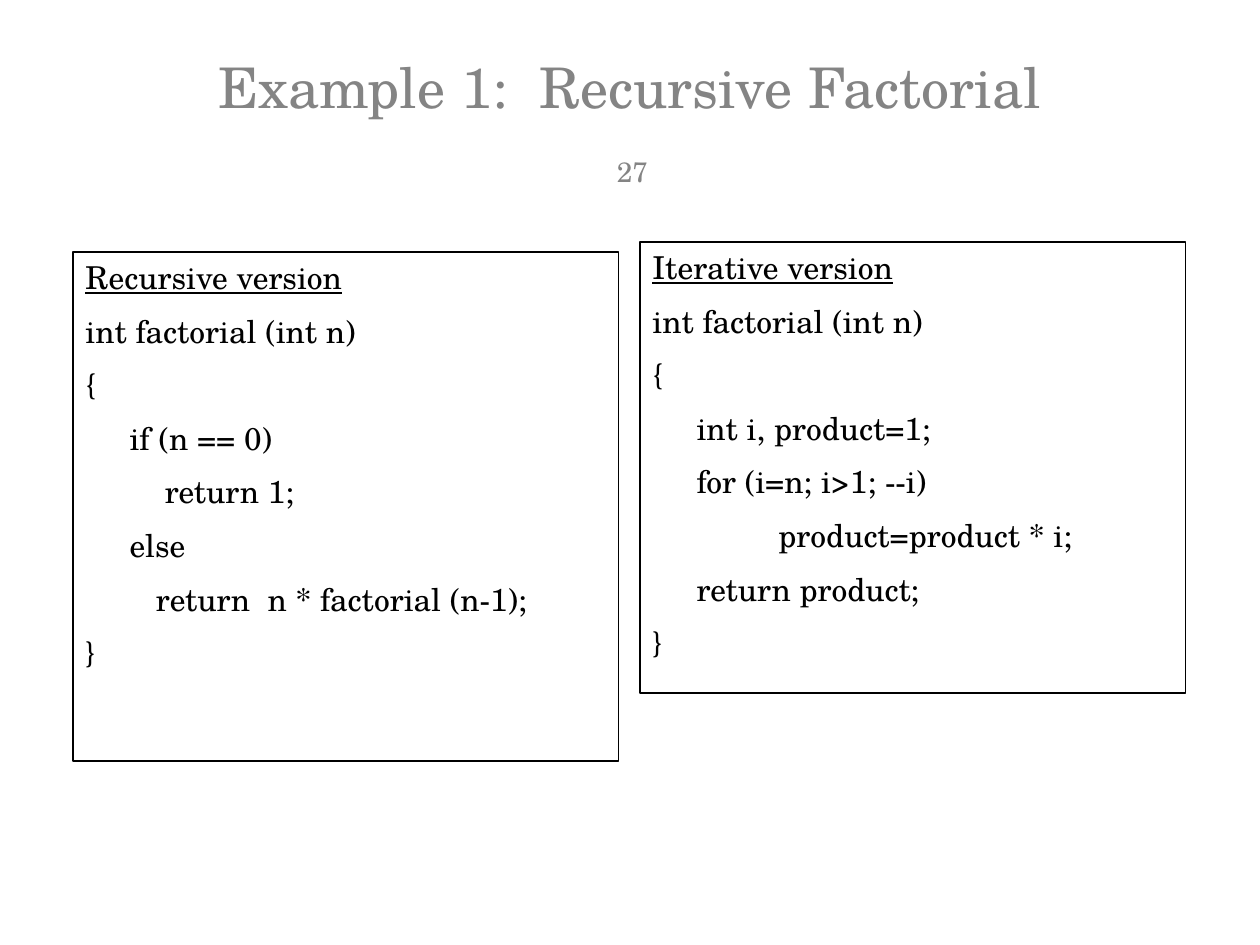
from lxml import etree
from pptx import Presentation
from pptx.dml.color import RGBColor
from pptx.enum.shapes import MSO_SHAPE
from pptx.enum.text import MSO_ANCHOR, PP_ALIGN
from pptx.util import Inches, Pt

RECT = MSO_SHAPE.RECTANGLE
TOP, MIDDLE, BOTTOM = MSO_ANCHOR.TOP, MSO_ANCHOR.MIDDLE, MSO_ANCHOR.BOTTOM
LEFT, CENTER = PP_ALIGN.LEFT, PP_ALIGN.CENTER

FONT = "TeX Gyre Schola"
COLORS = {"heading": "848484", "code": "000000"}
CODE_SIZE = 18

TITLE = "Example 1:  Recursive Factorial"
PAGE_NUMBER = "27"

# Each code line is (indent in inches, text).
PANELS = [
    {
        "box": (0.58, 2, 4.33, 4.04),
        "heading": "Recursive version",
        "code": [
            (0, "int factorial (int n)"),
            (0, "{"),
            (0.35, "if (n == 0)"),
            (0.63, "return 1;"),
            (0.35, "else"),
            (0.56, "return  n * factorial (n-1);"),
            (0, "}"),
        ],
    },
    {
        "box": (5.08, 1.92, 4.33, 3.58),
        "heading": "Iterative version",
        "code": [
            (0, "int factorial (int n)"),
            (0, "{"),
            (0.35, "int i, product=1;"),
            (0.35, "for (i=n; i>1; --i)"),
            (1, "product=product * i;"),
            (0.35, "return product;"),
            (0, "}"),
        ],
    },
]


def add_run(p, text, size, color, underline=None):
    r = p.add_run()
    r.text = text
    r.font.name = FONT
    r.font.size = Pt(size)
    r.font.underline = underline
    r.font.color.rgb = RGBColor.from_string(COLORS[color])


def set_indent(p, inches):
    pPr = p._p.get_or_add_pPr()
    pPr.set("marL", str(Inches(inches)))
    pPr.set("indent", "0")


def add_title(s):
    title = s.shapes.title
    title.left, title.top = Inches(0.5), Inches(0.3)
    title.width, title.height = Inches(9), Inches(0.7)
    tf = title.text_frame
    tf.vertical_anchor = BOTTOM
    p = tf.paragraphs[0]
    p.alignment = CENTER
    add_run(p, TITLE, 32, "heading")


def add_page_number(s):
    sp = s.shapes.add_textbox(*map(Inches, (4.77, 1.12, 0.5, 0.48)))
    tf = sp.text_frame
    tf.word_wrap = True
    tf.vertical_anchor = MIDDLE
    tf.margin_left = tf.margin_right = Inches(0.05)
    p = tf.paragraphs[0]
    p.alignment = CENTER
    add_run(p, PAGE_NUMBER, 16, "heading")


def add_panel(s, panel):
    sp = s.shapes.add_shape(RECT, *map(Inches, panel["box"]))
    sp.shadow.inherit = False
    sp.fill.background()
    sp.line.color.rgb = RGBColor.from_string(COLORS["code"])
    sp.line.width = Pt(0.75)
    tf = sp.text_frame
    tf.word_wrap = True
    tf.vertical_anchor = TOP
    lines = [(0, panel["heading"])] + panel["code"]
    for i, (indent, text) in enumerate(lines):
        p = tf.paragraphs[0] if i == 0 else tf.add_paragraph()
        p.alignment = LEFT
        p.space_before = Pt(CODE_SIZE / 2)
        set_indent(p, indent)
        add_run(p, text, CODE_SIZE, "code", underline=i == 0)


prs = Presentation()
prs.slide_width, prs.slide_height = Inches(10), Inches(7.5)
s = prs.slides.add_slide(prs.slide_layouts[5])
add_title(s)
add_page_number(s)
for panel in PANELS:
    add_panel(s, panel)
prs.save("out.pptx")
